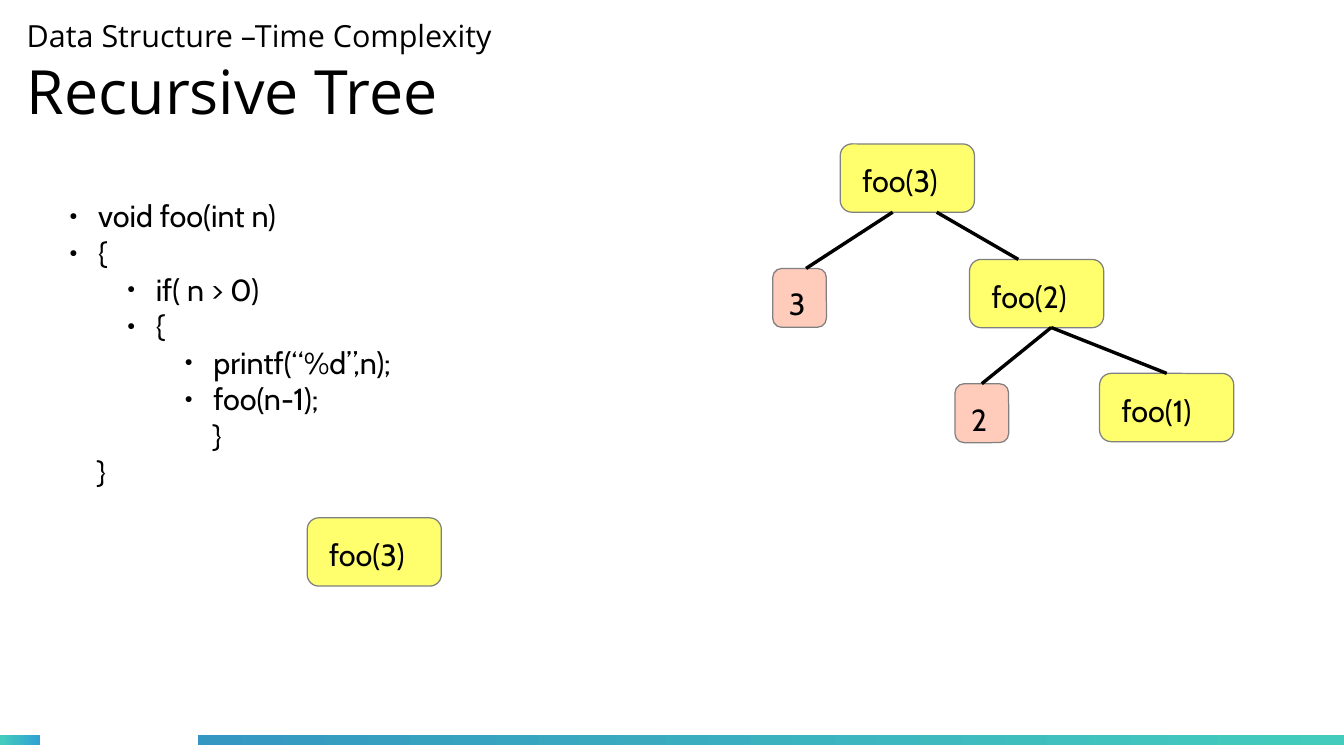
from dataclasses import dataclass
from typing import Any, Optional

from lxml.etree import SubElement
from pptx import Presentation
from pptx.dml.color import RGBColor
from pptx.enum.shapes import MSO_CONNECTOR as Connector, MSO_SHAPE as Preset
from pptx.enum.text import MSO_ANCHOR as Anchor, MSO_AUTO_SIZE as AutoSize, PP_ALIGN as Align
from pptx.oxml.ns import qn
from pptx.util import Pt


@dataclass(frozen=True)
class Theme:
    text: str = "000000"
    call_fill: str = "FFFF6D"
    output_fill: str = "FFCCBC"
    outline: str = "808080"
    teal: str = "43CCBD"
    light_blue: str = "30A2D2"
    deep_blue: str = "3497C1"
    heading_font: str = "Open Sans"
    body_font: str = "Cabin"
    body_size: float = 18
    title_size: float = 36


@dataclass(frozen=True)
class NodeStyle:
    width: float
    height: float
    fill: str
    inset_left: float
    inset_top: float


@dataclass(frozen=True)
class Node:
    key: str
    label: str
    left: float
    top: float
    style: NodeStyle


@dataclass(frozen=True)
class Branch:
    start: tuple[float, float]
    end: tuple[float, float]
    joined_child: Optional[str] = None


@dataclass(frozen=True)
class CodeLine:
    text: str
    level: int = 0
    bulleted: bool = True
    indent: float = 0


@dataclass(frozen=True)
class Strip:
    left: float
    width: float
    colors: tuple[str, str]


THEME = Theme()
CALL = NodeStyle(79.2, 40.3, THEME.call_fill, 11, 3)
OUTPUT = NodeStyle(31.7, 34.8, THEME.output_fill, 8, 7)
BULLET_HANG = 17
LEVEL_STEP = 34

NODES = [
    Node("root", "foo(3)", 496.1, 85, CALL),
    Node("second", "foo(2)", 572.4, 153.2, CALL),
    Node("third", "foo(1)", 649.2, 220.5, CALL),
    Node("print three", "3", 456.2, 158.5, OUTPUT),
    Node("print two", "2", 563.8, 226.6, OUTPUT),
    Node("call", "foo(3)", 181.4, 305.8, CALL),
]
BRANCHES = [
    Branch((553, 125.3), (601.2, 153.2)),
    Branch((527, 125.3), (475.9, 158.5)),
    Branch((620.6, 193.4), (686.2, 220.5), "third"),
    Branch((620.6, 193.4), (578.2, 226.6), "print two"),
]
CODE = [
    CodeLine("void foo(int n)"),
    CodeLine("{"),
    CodeLine("if( n > 0)", 1),
    CodeLine("{", 1),
    CodeLine("printf(“%d”,n);", 2),
    CodeLine("foo(n-1);", 2),
    CodeLine("}", bulleted=False, indent=84.5),
    CodeLine("}", bulleted=False, indent=16.2),
]
STRIPS = [
    Strip(0, 23.4, (THEME.teal, THEME.light_blue)),
    Strip(117, 676.8, (THEME.deep_blue, THEME.teal)),
]


def color(value: str) -> RGBColor:
    return RGBColor.from_string(value)


def apply(target: Any, values: dict[str, Any]) -> None:
    for name, value in values.items():
        setattr(target, name, value)


def place(shape: Any, left: float, top: float, width: float, height: float) -> None:
    apply(shape, {"left": Pt(left), "top": Pt(top), "width": Pt(width), "height": Pt(height)})


def set_frame(frame: Any, anchor: Anchor, left: float, top: float, right: float, bottom: float) -> None:
    apply(frame, {
        "word_wrap": True, "auto_size": AutoSize.NONE, "vertical_anchor": anchor,
        "margin_left": Pt(left), "margin_top": Pt(top),
        "margin_right": Pt(right), "margin_bottom": Pt(bottom),
    })


def write(paragraph: Any, text: str, font: str, size: float) -> None:
    apply(paragraph, {"alignment": Align.LEFT, "space_before": Pt(0), "space_after": Pt(0)})
    run = paragraph.add_run()
    run.text = text
    apply(run.font, {"name": font, "size": Pt(size)})
    run.font.color.rgb = color(THEME.text)


def next_paragraph(frame: Any, index: int) -> Any:
    return frame.add_paragraph() if index else frame.paragraphs[0]


def set_bullet(paragraph: Any, line: CodeLine) -> None:
    properties = paragraph._p.get_or_add_pPr()
    indent = BULLET_HANG + LEVEL_STEP * line.level if line.bulleted else line.indent
    properties.set("marL", str(Pt(indent)))
    properties.set("indent", str(Pt(-BULLET_HANG if line.bulleted else 0)))
    if line.bulleted:
        bullet_color = SubElement(properties, qn("a:buClr"))
        SubElement(bullet_color, qn("a:srgbClr"), val=THEME.text)
        SubElement(properties, qn("a:buSzPct"), val="45000")
        SubElement(properties, qn("a:buChar"), char="●")
    else:
        SubElement(properties, qn("a:buNone"))


def fill_title(title: Any) -> None:
    place(title, 15.8, 5.8, 553, 73.4)
    set_frame(title.text_frame, Anchor.MIDDLE, 0, 0, 0, 0)
    lines = [("Data Structure –Time Complexity", THEME.body_size), ("Recursive Tree", THEME.title_size)]
    for index, (text, size) in enumerate(lines):
        write(next_paragraph(title.text_frame, index), text, THEME.heading_font, size)


def fill_code(body: Any) -> None:
    place(body, 33.8, 113, 255, 203)
    set_frame(body.text_frame, Anchor.TOP, 7.2, 3.6, 7.2, 3.6)
    for index, line in enumerate(CODE):
        paragraph = next_paragraph(body.text_frame, index)
        paragraph.level = line.level
        set_bullet(paragraph, line)
        write(paragraph, line.text, THEME.body_font, THEME.body_size)


def draw_strip(slide: Any, strip: Strip) -> None:
    shape = slide.shapes.add_shape(Preset.RECTANGLE, Pt(strip.left), Pt(434.2), Pt(strip.width), Pt(5.8))
    shape.shadow.inherit = False
    shape.line.fill.background()
    shape.fill.gradient()
    shape.fill.gradient_angle = 0
    for stop, value in zip(shape.fill.gradient_stops, strip.colors):
        stop.color.rgb = color(value)


def draw_node(slide: Any, node: Node) -> Any:
    style = node.style
    shape = slide.shapes.add_shape(
        Preset.ROUNDED_RECTANGLE, Pt(node.left), Pt(node.top), Pt(style.width), Pt(style.height))
    shape.adjustments[0] = 0.17
    shape.shadow.inherit = False
    shape.fill.solid()
    shape.fill.fore_color.rgb = color(style.fill)
    shape.line.color.rgb = color(THEME.outline)
    shape.line.width = Pt(0)
    set_frame(shape.text_frame, Anchor.MIDDLE, style.inset_left, style.inset_top, 0, 0)
    write(shape.text_frame.paragraphs[0], node.label, THEME.body_font, THEME.body_size)
    return shape


def draw_branch(slide: Any, branch: Branch, nodes: dict[str, Any]) -> None:
    ends = [Pt(value) for value in branch.start + branch.end]
    connector = slide.shapes.add_connector(Connector.STRAIGHT, *ends)
    connector.line.color.rgb = color(THEME.text)
    connector.line.width = Pt(0)
    SubElement(connector._element.spPr, qn("a:effectLst"))
    if branch.joined_child:
        connector.end_connect(nodes[branch.joined_child], 0)


def main() -> None:
    presentation = Presentation()
    apply(presentation, {"slide_width": Pt(793.44), "slide_height": Pt(446.4)})
    slide = presentation.slides.add_slide(presentation.slide_layouts[1])
    fill_title(slide.shapes.title)
    fill_code(slide.placeholders[1])
    for strip in STRIPS:
        draw_strip(slide, strip)
    nodes = {node.key: draw_node(slide, node) for node in NODES}
    for branch in BRANCHES:
        draw_branch(slide, branch, nodes)
    presentation.save("out.pptx")


if __name__ == "__main__":
    main()
